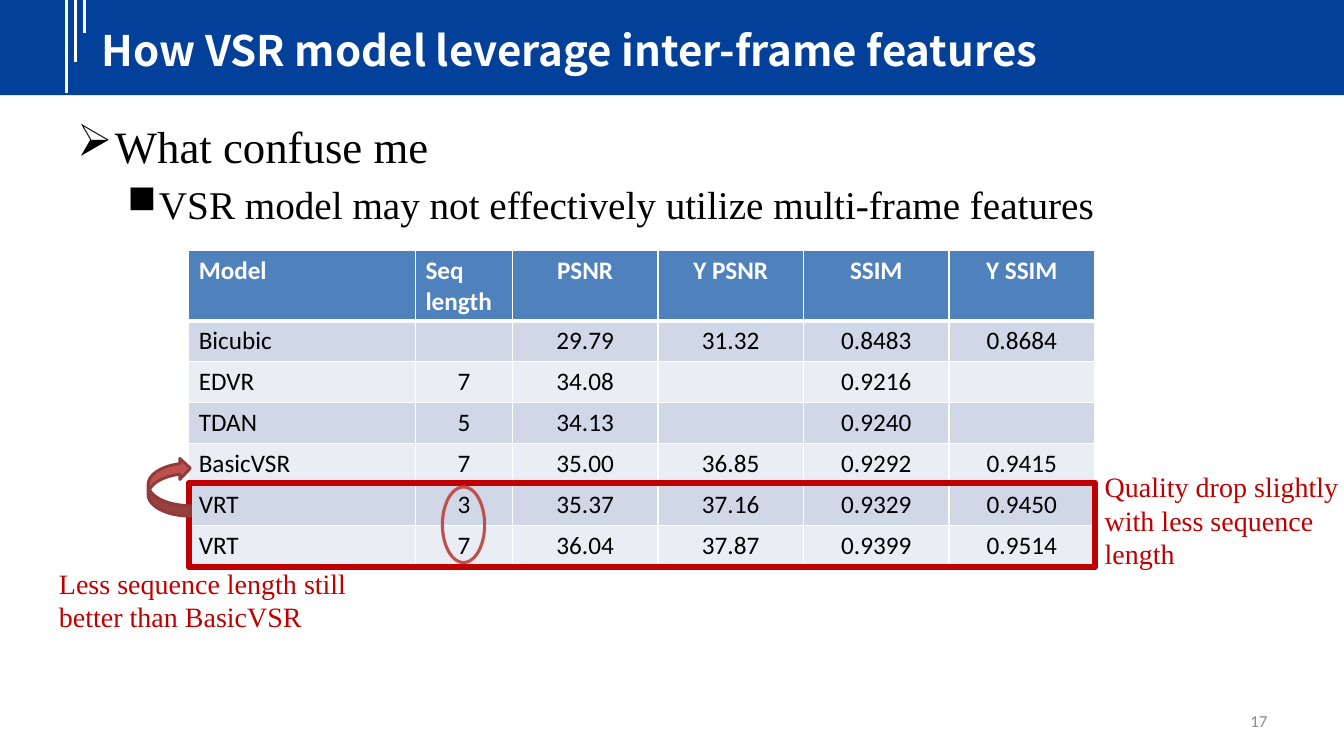
import lxml.etree
import pptx
import pptx.dml.color
import pptx.enum.shapes
import pptx.enum.text
import pptx.oxml.ns
import pptx.util

Pt = pptx.util.Pt
RGB = pptx.dml.color.RGBColor
KIND = pptx.enum.shapes.MSO_SHAPE
ALIGN = pptx.enum.text.PP_ALIGN
MID = pptx.enum.text.MSO_ANCHOR.MIDDLE
qn = pptx.oxml.ns.qn

WHITE = RGB(0xFF, 0xFF, 0xFF)
BLACK = RGB(0, 0, 0)
GRAY = RGB(0x8C, 0x8C, 0x8C)
NAVY = RGB(0x02, 0x40, 0x9A)
BLUE = RGB(0x4F, 0x81, 0xBD)
BANDS = RGB(0xD0, 0xD8, 0xE8), RGB(0xE9, 0xED, 0xF4)
RED = RGB(0xC0, 0, 0)
BRICK = RGB(0xC0, 0x50, 0x4D)
RUST = RGB(0x8E, 0x3B, 0x39)

SERIF = "Times New Roman"
HEAD = {"name": "Noto Sans CJK SC", "size": Pt(30), "bold": True}
NOTE = {"name": SERIF, "size": Pt(20)}
PAGE = {"name": "Calibri", "size": Pt(12)}
CELL = {"name": "Calibri", "size": Pt(18)}

# Text, font size, left margin, hanging indent, bullet
POINTS = [
    ("What confuse me", 32, 27, 27, "➢"),
    ("VSR model may not effectively utilize multi-frame features",
     28, 58.5, 22.5, "■"),
]
COLS = [162, 69.2, 104, 104, 104, 104]
ROWS = [
    ["Model", "Seq length", "PSNR", "Y PSNR", "SSIM", "Y SSIM"],
    ["Bicubic", "", "29.79", "31.32", "0.8483", "0.8684"],
    ["EDVR", "7", "34.08", "", "0.9216", ""],
    ["TDAN", "5", "34.13", "", "0.9240", ""],
    ["BasicVSR", "7", "35.00", "36.85", "0.9292", "0.9415"],
    ["VRT", "3", "35.37", "37.16", "0.9329", "0.9450"],
    ["VRT", "7", "36.04", "37.87", "0.9399", "0.9514"],
]
TOP_ROW, ROW = 50.4, 29.2


def put(item, vals):
    for key, val in vals.items():
        setattr(item, key, val)


def write(para, text, font, ink, **form):
    put(para, form)
    run = para.add_run()
    run.text = text
    put(run.font, font)
    run.font.color.rgb = ink


def add_box(slide, *area, **form):
    frame = slide.shapes.add_textbox(*map(Pt, area)).text_frame
    put(frame, {"word_wrap": True, **form})
    return frame


def add_form(slide, kind, area, fill=None, line=None, width=0, turn=0):
    form = slide.shapes.add_shape(kind, *map(Pt, area))
    form.shadow.inherit = False
    form.rotation = turn
    if fill is None:
        form.fill.background()
    else:
        form.fill.solid()
        form.fill.fore_color.rgb = fill
    if line is None:
        form.line.fill.background()
    else:
        form.line.color.rgb = line
        form.line.width = Pt(width)


def add_line(slide, left, end):
    line = slide.shapes.add_connector(
        pptx.enum.shapes.MSO_CONNECTOR.STRAIGHT, Pt(left), 0, Pt(left), Pt(end))
    line.line.color.rgb = WHITE
    line.line.width = Pt(2.25)
    lxml.etree.SubElement(line._element.spPr, qn("a:effectLst"))


def add_points(slide):
    frame = add_box(slide, 48, 81.5, 864, 401)
    for num, (text, size, left, hang, mark) in enumerate(POINTS):
        para = frame.add_paragraph() if num else frame.paragraphs[0]
        write(para, text, {"name": SERIF, "size": Pt(size)}, BLACK,
              space_before=Pt(size * 0.2), level=num)
        props = para._p.get_or_add_pPr()
        props.set("marL", str(Pt(left)))
        props.set("indent", str(-Pt(hang)))
        lxml.etree.SubElement(props, qn("a:buChar"), char=mark)


def edge(cell, widths):
    props = cell._tc.get_or_add_tcPr()
    for side, width in widths.items():
        line = lxml.etree.SubElement(props, qn("a:ln" + side), w=str(Pt(width)))
        fill = lxml.etree.SubElement(line, qn("a:solidFill"))
        lxml.etree.SubElement(fill, qn("a:srgbClr"), val=str(WHITE))


def add_grid(slide, left, top):
    high = TOP_ROW + ROW * (len(ROWS) - 1)
    grid = slide.shapes.add_table(
        len(ROWS), len(COLS), Pt(left), Pt(top), Pt(sum(COLS)), Pt(high)).table
    for col, width in zip(grid.columns, COLS):
        col.width = Pt(width)
    for r, texts in enumerate(ROWS):
        grid.rows[r].height = Pt(ROW if r else TOP_ROW)
        for c, text in enumerate(texts):
            cell = grid.cell(r, c)
            edge(cell, {"L": 1, "R": 1, "T": 3 if r == 1 else 1,
                        "B": 1 if r else 3})
            cell.fill.solid()
            cell.fill.fore_color.rgb = BANDS[(r - 1) % 2] if r else BLUE
            flush = c == 0 or (r == 0 and c == 1)
            para = cell.text_frame.paragraphs[0]
            put(para.font, CELL)
            if text:
                write(para, text, {**CELL, "bold": r == 0},
                      BLACK if r else WHITE,
                      alignment=ALIGN.LEFT if flush else ALIGN.CENTER)


def add_note(slide, text, *area):
    write(add_box(slide, *area).paragraphs[0], text, NOTE, RED)


def main():
    deck = pptx.Presentation()
    put(deck, {"slide_width": Pt(960), "slide_height": Pt(540)})
    slide = deck.slides.add_slide(deck.slide_layouts[6])

    # Title band
    add_form(slide, KIND.RECTANGLE, (0, 0, 960, 68), NAVY)
    for num, end in enumerate((66.3, 44, 23.8)):
        add_line(slide, 47.5 + 6.5 * num, end)
    title = add_box(slide, 65.5, 13.7, 875.5, 44, vertical_anchor=MID)
    write(title.paragraphs[0], "How VSR model leverage inter-frame features",
          HEAD, WHITE)

    # Points, page number and results
    add_points(slide)
    page = add_box(slide, 688.3, 500.5, 224, 28.8, vertical_anchor=MID)
    write(page.paragraphs[0], "17", PAGE, GRAY, alignment=ALIGN.RIGHT)
    add_grid(slide, 134.8, 178.8)

    # Marks and remarks on the results
    add_form(slide, KIND.RECTANGLE, (134.8, 344.8, 647.2, 60.2),
             line=RED, width=4.5)
    add_note(slide, "Quality drop slightly with less sequence length",
             782, 332, 187, 80)
    add_form(slide, KIND.CURVED_LEFT_ARROW, (105.8, 326.9, 30.2, 41.8),
             BRICK, RUST, 2, 180)
    add_note(slide, "Less sequence length still better than BasicVSR",
             35, 401, 253.4, 55.7)
    add_form(slide, KIND.OVAL, (316, 347.8, 30.2, 54), line=BRICK, width=2.25)

    deck.save("out.pptx")


if __name__ == "__main__":
    main()
